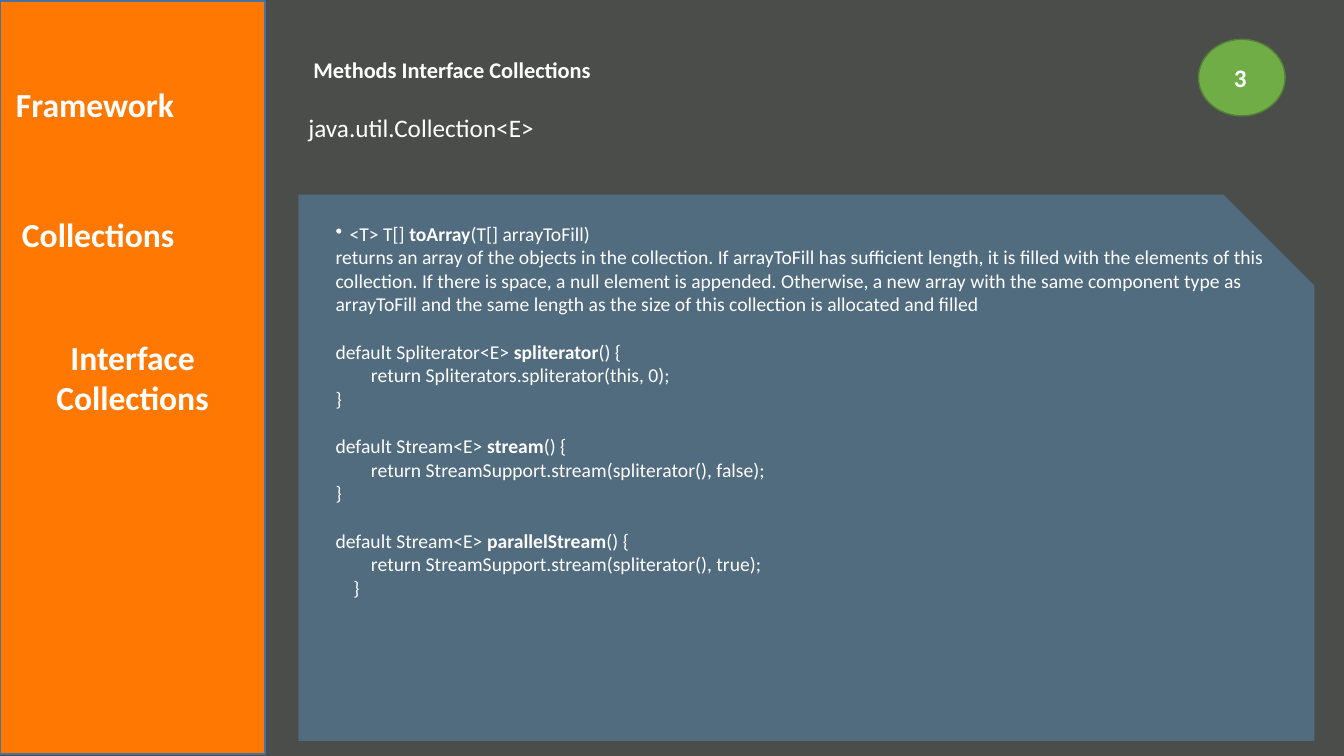
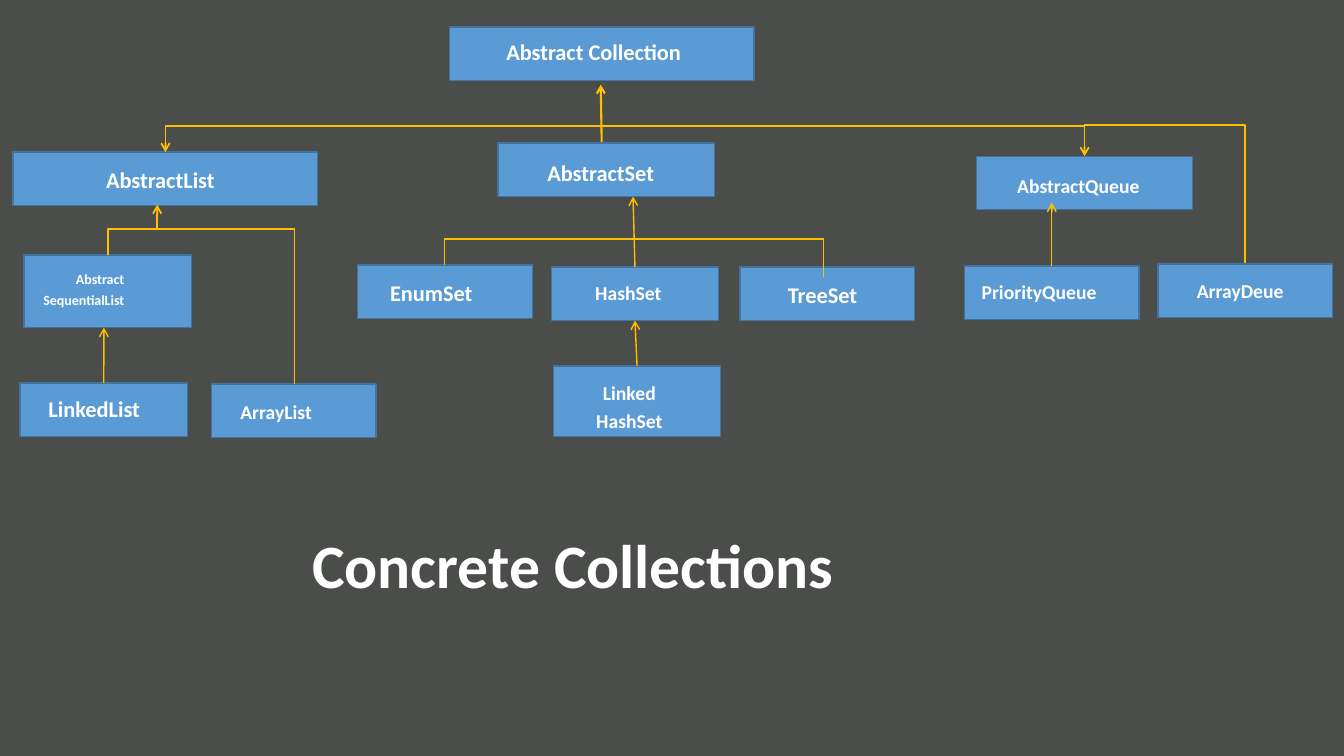
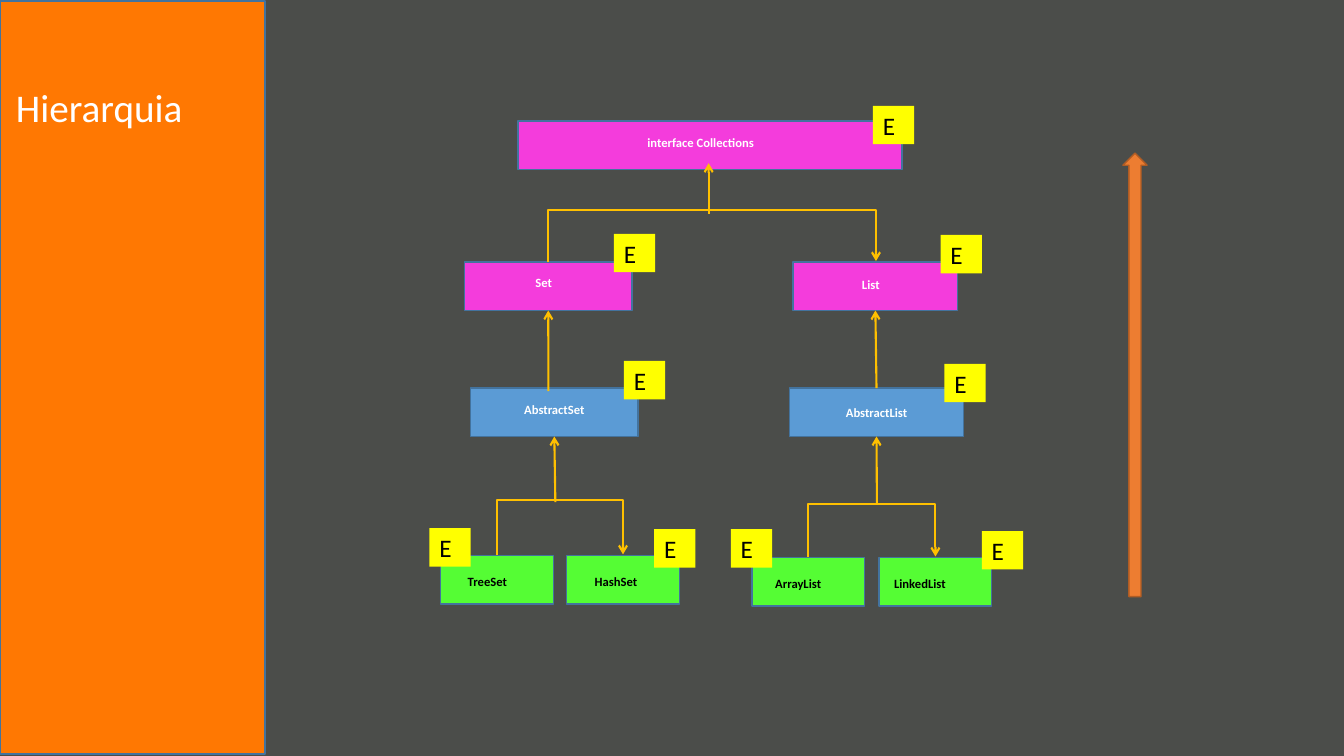
from pptx import Presentation
from pptx.util import Pt
from pptx.dml.color import RGBColor
from pptx.enum.shapes import MSO_CONNECTOR as LINK, MSO_SHAPE as SHAPE
from pptx.enum.text import MSO_ANCHOR as ANCHOR, PP_ALIGN as ALIGN
from pptx.oxml.ns import qn
from lxml.etree import SubElement

FONT = "Calibri"
WHITE = RGBColor(0xFF, 0xFF, 0xFF)
BLACK = RGBColor(0, 0, 0)
SLATE = RGBColor(0x4B, 0x4D, 0x4A)
ORANGE = RGBColor(0xFF, 0x78, 0x02)
BLUE = RGBColor(0x5B, 0x9B, 0xD5)
EDGE = RGBColor(0x43, 0x73, 0x9E)
GREEN = RGBColor(0x70, 0xAD, 0x47)
GREEN_EDGE = RGBColor(0x53, 0x80, 0x35)
PINK = RGBColor(0xF4, 0x3C, 0xDC)
LIME = RGBColor(0x55, 0xFD, 0x34)
YELLOW = RGBColor(0xFF, 0xFF, 0x00)
GOLD = RGBColor(0xFF, 0xC0, 0x00)
RUST = RGBColor(0xED, 0x7D, 0x31)
RUST_EDGE = RGBColor(0xAF, 0x5C, 0x24)


def add_box(page, place, text="", size=18, color=WHITE, bold=False, align=ALIGN.LEFT,
            kind=None, fill=None, edge=None, insets=(7.2, 3.6, 7.2), gap=0):
    """Add a shape, or a text box if kind is None; *stars* mark bold words."""
    place = [Pt(length) for length in place]
    if kind is None:
        box = page.shapes.add_textbox(*place)
    else:
        box = page.shapes.add_shape(kind, *place)
        box.shadow.inherit = False
        box.fill.solid()
        box.fill.fore_color.rgb = fill
        if edge is None:
            box.line.fill.background()
        else:
            box.line.color.rgb = edge
            box.line.width = Pt(1)
    if not text:
        return box
    frame = box.text_frame
    frame.word_wrap = True
    frame.vertical_anchor = ANCHOR.TOP
    frame.margin_left, frame.margin_top, frame.margin_right = [Pt(inset) for inset in insets]
    frame.margin_bottom = 0
    for row, line in enumerate(text.split("\n")):
        para = frame.add_paragraph() if row else frame.paragraphs[0]
        if line.startswith("• "):
            line = line[2:]
            props = para._p.get_or_add_pPr()
            props.set("marL", str(Pt(10)))
            props.set("indent", str(-Pt(10)))
            SubElement(props, qn("a:buChar")).set("char", "•")
        para.alignment = align
        if row and gap:
            para.space_before = Pt(gap)
        font = para.font
        font.name, font.size, font.bold = FONT, Pt(size), bold
        font.color.rgb = color
        for part, words in enumerate(line.split("*")):
            span = para.add_run()
            span.text = words
            if part % 2:
                span.font.bold = True
    return box


def link(page, start, end, width=1.5, bus=None, ends=("tailEnd",)):
    """Join points or boxes (top to bottom side); bus is the height of a bent line's bar."""
    x1, y1 = start if isinstance(start, tuple) else (0, 0)
    x2, y2 = end if isinstance(end, tuple) else (0, 0)
    kind = LINK.STRAIGHT if bus is None else LINK.ELBOW
    upright = bus is not None and bus != y1
    if upright:  # a quarter turn makes the outer legs vertical
        rise, run = abs(y2 - y1), x2 - x1
        left, top = (x1 + x2 - rise) / 2, (y1 + y2 - run) / 2
        corners = left, top, left + rise, top + run
    else:
        corners = x1, y1, x2, y2
    line = page.shapes.add_connector(kind, *[Pt(length) for length in corners])
    props = line._element.spPr
    preset = props.find(qn("a:prstGeom"))
    if upright:
        props.xfrm.set("rot", "16200000")
        if y2 > y1:
            props.xfrm.set("flipH", "1")
        share = (bus - y1) / (y2 - y1)
        guide = SubElement(preset.find(qn("a:avLst")), qn("a:gd"))
        guide.set("name", "adj1")
        guide.set("fmla", f"val {round(share * 100000)}")
    elif bus is not None:
        preset.set("prst", "bentConnector2")
    if not isinstance(start, tuple):
        line.begin_connect(start, 0)
    if not isinstance(end, tuple):
        line.end_connect(end, 2)
    line.line.color.rgb = GOLD
    line.line.width = Pt(width)
    for tip in ends:
        SubElement(props.find(qn("a:ln")), qn("a:" + tip)).set("type", "arrow")
    SubElement(props, qn("a:effectLst"))


# Deck, background and side band
deck = Presentation()
deck.slide_width, deck.slide_height = Pt(960), Pt(540)
backdrop = deck.slide_master.background.fill
backdrop.solid()
backdrop.fore_color.rgb = SLATE
methods, concrete, hierarchy = [deck.slides.add_slide(deck.slide_layouts[6]) for _ in range(3)]
for page in (methods, hierarchy):
    add_box(page, (0, 0.7, 189.4, 537.8), kind=SHAPE.RECTANGLE, fill=ORANGE, edge=EDGE)

# Slide 1: headings
add_box(methods, (4.3, 56.2, 180.7, 65.5), "Framework", 24, bold=True)
add_box(methods, (8.6, 149, 180.7, 65.5), "Collections", 24, bold=True)
add_box(methods, (4.3, 236.9, 180.7, 133.2), "Interface\nCollections", 24,
        bold=True, align=ALIGN.CENTER)
add_box(methods, (223.9, 39.6, 373.7, 20.2), "Methods Interface Collections", 16,
        bold=True, insets=(0, 0.7, 0))
add_box(methods, (213.1, 77, 725.8, 28.8), "java.util.Collection<E>")
add_box(methods, (856.1, 28.1, 61.9, 54.7), "3", bold=True, align=ALIGN.CENTER,
        kind=SHAPE.OVAL, fill=GREEN, edge=GREEN_EDGE, insets=(0, 8.6, 2))

# Slide 1: method panel
panel = add_box(methods, (213.1, 139, 725.8, 390.2), kind=SHAPE.SNIP_1_RECTANGLE, fill=BLUE)
tint = panel._element.spPr.find(qn("a:solidFill"))[0]
SubElement(tint, qn("a:alpha")).set("val", "39000")
code = """• <T> T[] *toArray*(T[] arrayToFill)
returns an array of the objects in the collection. If arrayToFill has sufficient length, \
it is filled with the elements of this collection. If there is space, a null element is \
appended. Otherwise, a new array with the same component type as arrayToFill and the same \
length as the size of this collection is allocated and filled
default Spliterator<E> *spliterator*() {
        return Spliterators.spliterator(this, 0);
}
default Stream<E> *stream*() {
        return StreamSupport.stream(spliterator(), false);
}
default Stream<E> *parallelStream*() {
        return StreamSupport.stream(spliterator(), true);
    }"""
listing = add_box(methods, (232.6, 154.8, 684.7, 295.2), code, 14)
for para in listing.text_frame.paragraphs:
    if para.text.startswith("default"):
        para.space_before = Pt(17)

# Slide 2: classes as label, left, top, width, height, size, top inset, right inset
classes = {}
for label, left, top, width, height, size, drop, right in [
    ("Abstract Collection", 321.1, 19.4, 217.4, 38.2, 16, 8, 11.4),
    ("AbstractList", 9.4, 108.7, 217.4, 38.2, 16, 10.1, 7.2),
    ("AbstractSet", 355.7, 102.2, 154.8, 38.2, 16, 11.6, 8),
    ("AbstractQueue", 697.7, 111.6, 154.1, 38.2, 14, 12.3, 8.8),
    ("Abstract\nSequentialList", 17.3, 182.2, 119.5, 51.8, 10, 10.8, 48),
    ("EnumSet", 255.6, 189.4, 124.6, 38.2, 16, 10.1, 19.5),
    ("HashSet", 393.8, 190.8, 119.5, 38.2, 14, 10.1, 9.3),
    ("TreeSet", 528.5, 190.8, 124.6, 38.2, 16, 10.1, 6.5),
    ("PriorityQueue", 689, 190.1, 124.6, 38.2, 14, 10.1, 18),
    ("ArrayDeue", 827.3, 188.6, 124.6, 38.2, 14, 10.9, 7.4),
    ("LinkedList", 14.4, 273.6, 119.5, 38.2, 16, 8.7, 13.6),
    ("ArrayList", 151.2, 274.3, 117.4, 38.2, 14, 11.6, 25.3),
    ("Linked\nHashSet", 395.3, 261.4, 119.5, 50.4, 14, 10.8, 10.9),
]:
    align = ALIGN.RIGHT if "Sequential" in label else ALIGN.CENTER
    classes[label] = add_box(concrete, (left, top, width, height), label, size, bold=True,
                             align=align, kind=SHAPE.RECTANGLE, fill=BLUE, edge=EDGE,
                             insets=(0, drop, right), gap=3.1)

# Slide 2: arrows and bars
link(concrete, (429.8, 101.5), (429.1, 60.5))
link(concrete, (118.1, 108.7), (774.7, 111.6), 1.25, bus=90, ends=("headEnd", "tailEnd"))
link(concrete, classes["LinkedList"], (74.2, 234), 1)
link(concrete, (77, 182.2), (210.2, 274.3), 1, bus=163.4, ends=())
link(concrete, (317.5, 189.4), (588.2, 198), 1, bus=170.6, ends=())
link(concrete, classes["HashSet"], (452.2, 140.4), 1)
link(concrete, (774, 89.3), (889.2, 187.9), 1, bus=89.3, ends=())
link(concrete, classes["Linked\nHashSet"], classes["HashSet"], 1)
link(concrete, classes["PriorityQueue"], (751.3, 144.7), 1)
link(concrete, (112.3, 162.7), (112.3, 146.2), 1.25)

# Slide 2: title
title = add_box(concrete, (216, 383, 540, 49.7), "Concrete Collections", 44, bold=True)
title.text_frame.paragraphs[0].line_spacing = 0.8

# Slide 3: heading and upward arrow
add_box(hierarchy, (4.3, 56.2, 180.7, 74.9), "Hierarquia", 28)
add_box(hierarchy, (802.1, 109.4, 17.3, 316.8), kind=SHAPE.UP_ARROW, fill=RUST, edge=RUST_EDGE)

# Slide 3: types as label, left, top, width, fill, insets
types = {}
for label, left, top, width, fill, insets in [
    ("interface Collections", 370.1, 86.4, 274.3, PINK, (0, 10.1, 13.6)),
    ("Set", 331.9, 187.2, 119.5, PINK, (0, 9.4, 6.5)),
    ("List", 566.6, 187.2, 117.4, PINK, (0, 10.8, 6.5)),
    ("AbstractSet", 336.2, 277.2, 119.5, BLUE, (0, 10.1, 0)),
    ("AbstractList", 563.8, 277.2, 124.6, BLUE, (0, 12.3, 0)),
    ("TreeSet", 314.6, 396.7, 80.6, LIME, (19.5, 13, 0)),
    ("HashSet", 404.6, 396.7, 80.6, LIME, (20.2, 13, 0)),
    ("ArrayList", 537.1, 398.2, 80.6, LIME, (16.6, 13, 0)),
    ("LinkedList", 627.8, 398.2, 80.6, LIME, (10.8, 13, 0)),
]:
    concrete_type = fill == LIME
    types[label] = add_box(hierarchy, (left, top, width, 34.6), label, 9,
                           BLACK if concrete_type else WHITE, True,
                           ALIGN.LEFT if concrete_type else ALIGN.CENTER,
                           SHAPE.RECTANGLE, fill, EDGE, insets)

# Slide 3: type parameter tags
for left, top in [(623.5, 75.6), (438.5, 167), (671.8, 167.8), (445.7, 257.8), (674.6, 259.9),
                  (467.3, 378), (701.3, 379.4), (522, 378), (306.7, 377.3)]:
    add_box(hierarchy, (left, top, 29.5, 27.4), "E", color=BLACK,
            kind=SHAPE.RECTANGLE, fill=YELLOW, insets=(7.2, 2.9, 7.2))

# Slide 3: arrows
link(hierarchy, (391.7, 187.2), (625.7, 186.5), bus=150.5)
link(hierarchy, (506.2, 152.6), (506.2, 116.6))
link(hierarchy, (391.7, 279.4), types["Set"])
link(hierarchy, types["AbstractList"], types["List"])
link(hierarchy, (355, 396.7), (445, 396), bus=357.8)
link(hierarchy, (577.4, 398.2), (668.2, 397.5), bus=360.7)
link(hierarchy, (396.7, 358.6), types["AbstractSet"])
link(hierarchy, (626.4, 360.7), types["AbstractList"])

deck.save("out.pptx")
